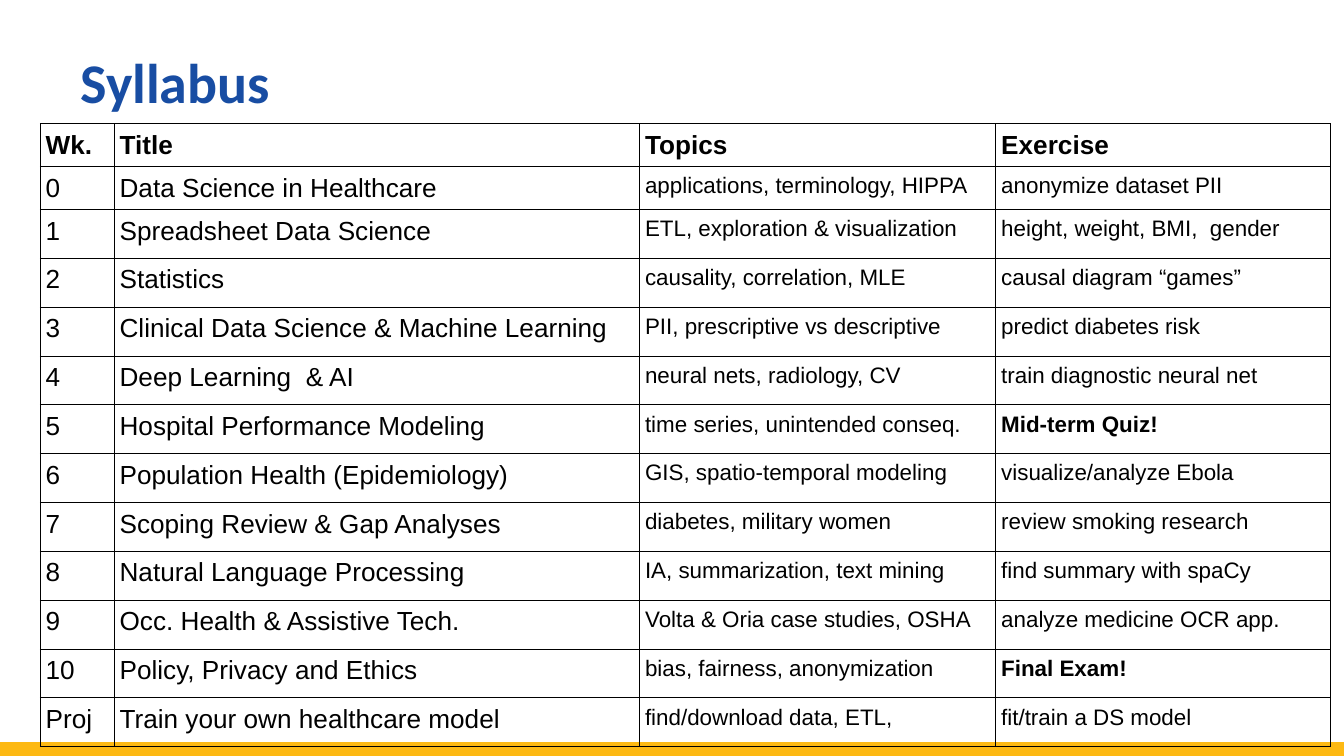
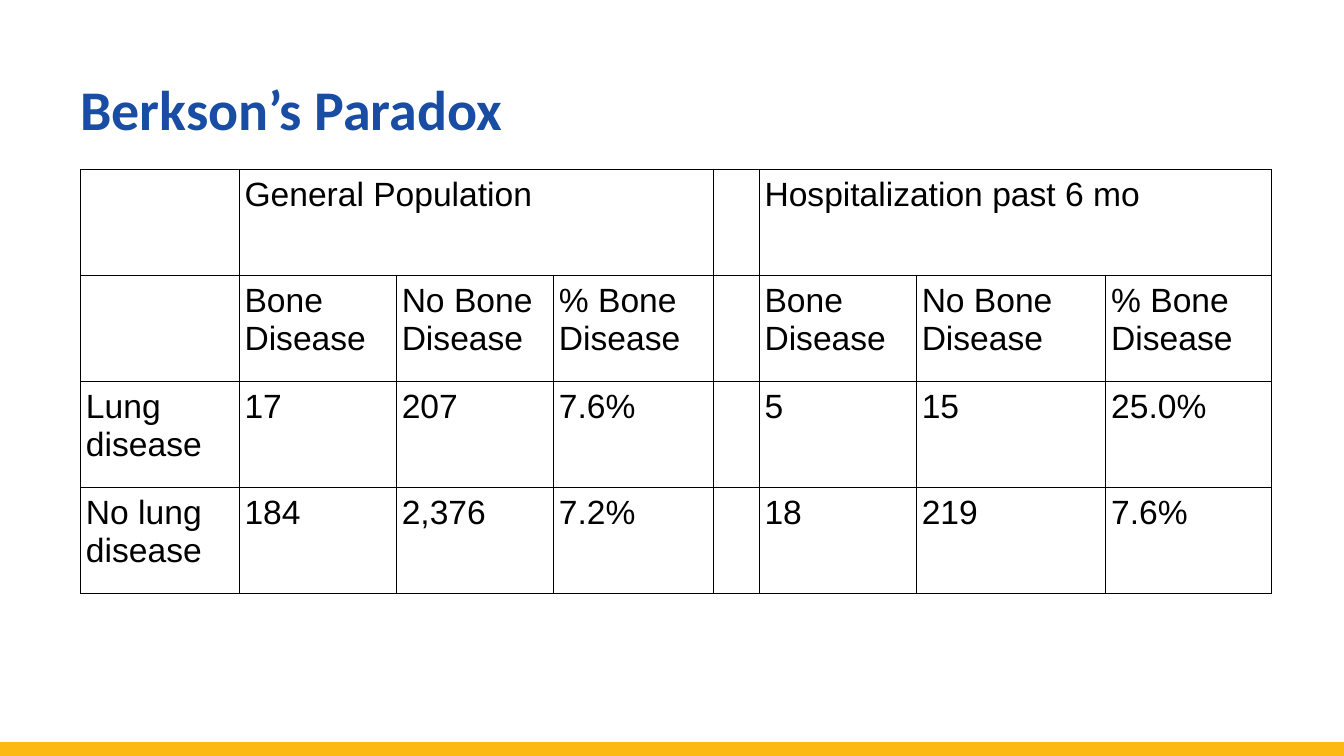
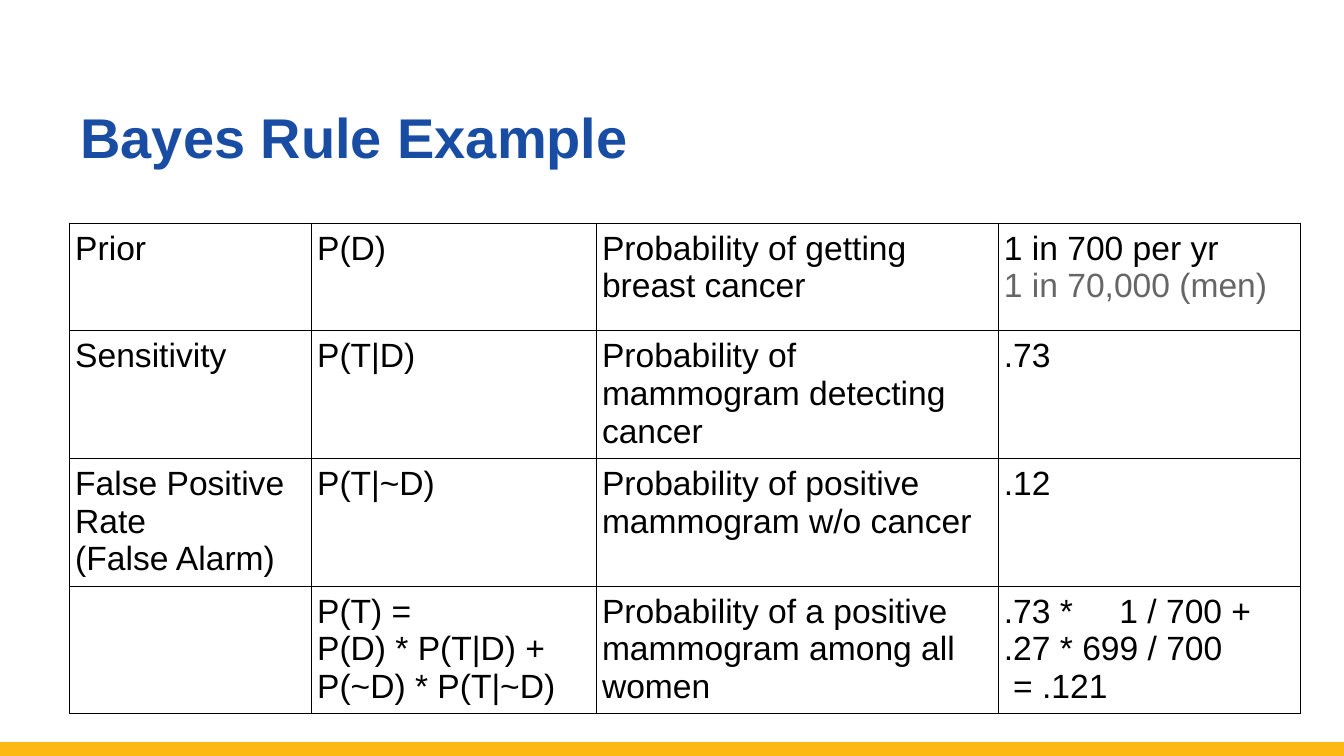
from dataclasses import dataclass
from typing import Callable

from lxml import etree
from pptx import Presentation
from pptx import util as u
from pptx.dml.color import RGBColor
from pptx.enum import shapes, text
from pptx.oxml.ns import qn

BLUE = RGBColor(0x18, 0x4D, 0xA3)
GOLD = RGBColor(0xFD, 0xB9, 0x13)
BLACK = RGBColor(0x00, 0x00, 0x00)
GREY = RGBColor(0x66, 0x66, 0x66)

WIDTH = 10
HEIGHT = WIDTH * 9 / 16
BAND_Y = 5.58
TAB_STOP = 0.86
# No bottom margin, so that full cells keep their row height
CELL_MARGINS = {
    "margin_left": u.Inches(0.04), "margin_right": u.Inches(0.04),
    "margin_top": u.Inches(0.05), "margin_bottom": 0,
}
TITLE_FONT = {"size": u.Pt(30), "bold": True}
BODY_FONT = {"size": u.Pt(18), "bold": False, "name": "Arial"}

# Format changes for a line, from its row, column and wording
Style = Callable[[int, int, str], dict]


@dataclass
class Grid:
    left: float
    top: float
    cols: list[float]
    rows: list[float]
    cells: list[list[str]]
    style: Style
    merges: tuple[tuple[int, int, int], ...] = ()  # row, first column, last column


@dataclass
class Page:
    title: str
    font: str
    anchor: text.MSO_ANCHOR
    grid: Grid


def set_font(font, formats: dict, color: RGBColor) -> None:
    for name, value in formats.items():
        setattr(font, name, value)
    font.color.rgb = color


def add_band(s) -> None:
    y = u.Inches(BAND_Y)
    cn = s.shapes.add_connector(shapes.MSO_CONNECTOR.STRAIGHT, 0, y, u.Inches(WIDTH), y)
    cn.line.color.rgb = GOLD
    cn.line.width = u.Pt(8)
    etree.SubElement(cn._element.spPr, qn("a:effectLst"))


def add_title(s, page: Page) -> None:
    sp = s.shapes.add_textbox(u.Inches(0.5), 0, u.Inches(9), u.Inches(1.31))
    tf = sp.text_frame
    tf.word_wrap = True
    tf.vertical_anchor = page.anchor
    p = tf.paragraphs[0]
    p.line_spacing = u.Pt(58)
    r = p.add_run()
    r.text = page.title
    set_font(r.font, TITLE_FONT | {"name": page.font}, BLUE)


def add_borders(cell) -> None:
    tc_pr = cell._tc.get_or_add_tcPr()
    for side in ("lnL", "lnR", "lnT", "lnB"):
        ln = etree.SubElement(tc_pr, qn(f"a:{side}"), w=str(u.Pt(0.57)))
        fill = etree.SubElement(ln, qn("a:solidFill"))
        etree.SubElement(fill, qn("a:srgbClr"), val=str(BLACK))


def add_tab_stop(p) -> None:
    tabs = etree.SubElement(p._p.get_or_add_pPr(), qn("a:tabLst"))
    etree.SubElement(tabs, qn("a:tab"), pos=str(u.Inches(TAB_STOP)), algn="l")


def fill_cell(cell, row: int, col: int, wording: str, style: Style) -> None:
    add_borders(cell)
    cell.fill.background()
    for name, value in CELL_MARGINS.items():
        setattr(cell, name, value)
    tf = cell.text_frame
    for i, line in enumerate(wording.split("\n")):
        p = tf.paragraphs[0] if i == 0 else tf.add_paragraph()
        if "\t" in line:
            add_tab_stop(p)
        formats = BODY_FONT | style(row, col, line)
        color = formats.pop("color", BLACK)
        if line:
            r = p.add_run()
            r.text = line
            set_font(r.font, formats, color)


def add_grid(s, grid: Grid) -> None:
    frame = s.shapes.add_table(
        len(grid.rows), len(grid.cols), u.Inches(grid.left), u.Inches(grid.top),
        u.Inches(sum(grid.cols)), u.Inches(sum(grid.rows)))
    table = frame.table
    table.first_row = table.horz_banding = False
    for column, width in zip(table.columns, grid.cols):
        column.width = u.Inches(width)
    for row, height in zip(table.rows, grid.rows):
        row.height = u.Inches(height)
    for i, wordings in enumerate(grid.cells):
        for j, wording in enumerate(wordings):
            fill_cell(table.cell(i, j), i, j, wording, grid.style)
    for row, first, last in grid.merges:
        table.cell(row, first).merge(table.cell(row, last))


# Text styles of the three tables
def syllabus_style(row: int, col: int, line: str) -> dict:
    small = row > 0 and col > 1
    return {"size": u.Pt(12 if small else 14), "bold": row == 0 or line.endswith("!")}


def plain_style(row: int, col: int, line: str) -> dict:
    return {}


def bayes_style(row: int, col: int, line: str) -> dict:
    return {"color": GREY} if line.endswith("(men)") else {}


# Syllabus
SYLLABUS = [
    ["Wk.", "Title", "Topics", "Exercise"],
    ["0", "Data Science in Healthcare", "applications, terminology, HIPPA",
     "anonymize dataset PII"],
    ["1", "Spreadsheet Data Science", "ETL, exploration & visualization",
     "height, weight, BMI,  gender"],
    ["2", "Statistics", "causality, correlation, MLE", "causal diagram “games”"],
    ["3", "Clinical Data Science & Machine Learning", "PII, prescriptive vs descriptive",
     "predict diabetes risk"],
    ["4", "Deep Learning  & AI", "neural nets, radiology, CV",
     "train diagnostic neural net"],
    ["5", "Hospital Performance Modeling", "time series, unintended conseq.",
     "Mid-term Quiz!"],
    ["6", "Population Health (Epidemiology)", "GIS, spatio-temporal modeling",
     "visualize/analyze Ebola"],
    ["7", "Scoping Review & Gap Analyses", "diabetes, military women",
     "review smoking research"],
    ["8", "Natural Language Processing", "IA, summarization, text mining",
     "find summary with spaCy"],
    ["9", "Occ. Health & Assistive Tech.", "Volta & Oria case studies, OSHA",
     "analyze medicine OCR app."],
    ["10", "Policy, Privacy and Ethics", "bias, fairness, anonymization", "Final Exam!"],
    ["Proj", "Train your own healthcare model", "find/download data, ETL,",
     "fit/train a DS model"],
]

# Berkson's paradox: both groups share the same column headings
DISEASE_HEADS = ["Bone Disease", "No Bone\nDisease", "% Bone\nDisease"]
BERKSON = [
    ["", "General Population", "", "", "", "Hospitalization past 6 mo", "", ""],
    ["", *DISEASE_HEADS, "", *DISEASE_HEADS],
    ["Lung disease", "17", "207", "7.6%", "", "5", "15", "25.0%"],
    ["No lung disease", "184", "2,376", "7.2%", "", "18", "219", "7.6%"],
]

# Bayes rule
BAYES = [
    ["Prior", "P(D)", "Probability of getting breast cancer",
     "1 in 700 per yr\n1 in 70,000 (men)"],
    ["Sensitivity", "P(T|D)", "Probability of mammogram detecting cancer", ".73"],
    ["False Positive Rate\n(False Alarm)", "P(T|~D)",
     "Probability of positive mammogram w/o cancer", ".12"],
    ["", "P(T) =\nP(D) * P(T|D) + P(~D) * P(T|~D)",
     "Probability of a positive mammogram among all women",
     ".73 *\t1 / 700 +\n.27 * 699 / 700\n = .121"],
]

PAGES = [
    Page("Syllabus", "Calibri", text.MSO_ANCHOR.TOP,
         Grid(0.3, 0.92, [0.55, 3.91, 2.65, 2.49], [0.32] * 2 + [4 / 11] * 11,
              SYLLABUS, syllabus_style)),
    Page("Berkson’s Paradox", "Calibri", text.MSO_ANCHOR.MIDDLE,
         Grid(0.6, 1.26, [1.18, 1.17, 1.17, 1.19, 0.34, 1.17, 1.41, 1.23], [0.79] * 4,
              BERKSON, plain_style, ((0, 1, 3), (0, 5, 7)))),
    Page("Bayes Rule Example", "Arial", text.MSO_ANCHOR.BOTTOM,
         Grid(0.52, 1.66, [1.8, 2.12, 2.99, 2.25], [0.8] + [0.94] * 3,
              BAYES, bayes_style)),
]


def main() -> None:
    prs = Presentation()
    prs.slide_width, prs.slide_height = u.Inches(WIDTH), u.Inches(HEIGHT)
    for page in PAGES:
        s = prs.slides.add_slide(prs.slide_layouts[6])
        add_band(s)
        add_title(s, page)
        add_grid(s, page.grid)
    prs.save("out.pptx")


if __name__ == "__main__":
    main()
